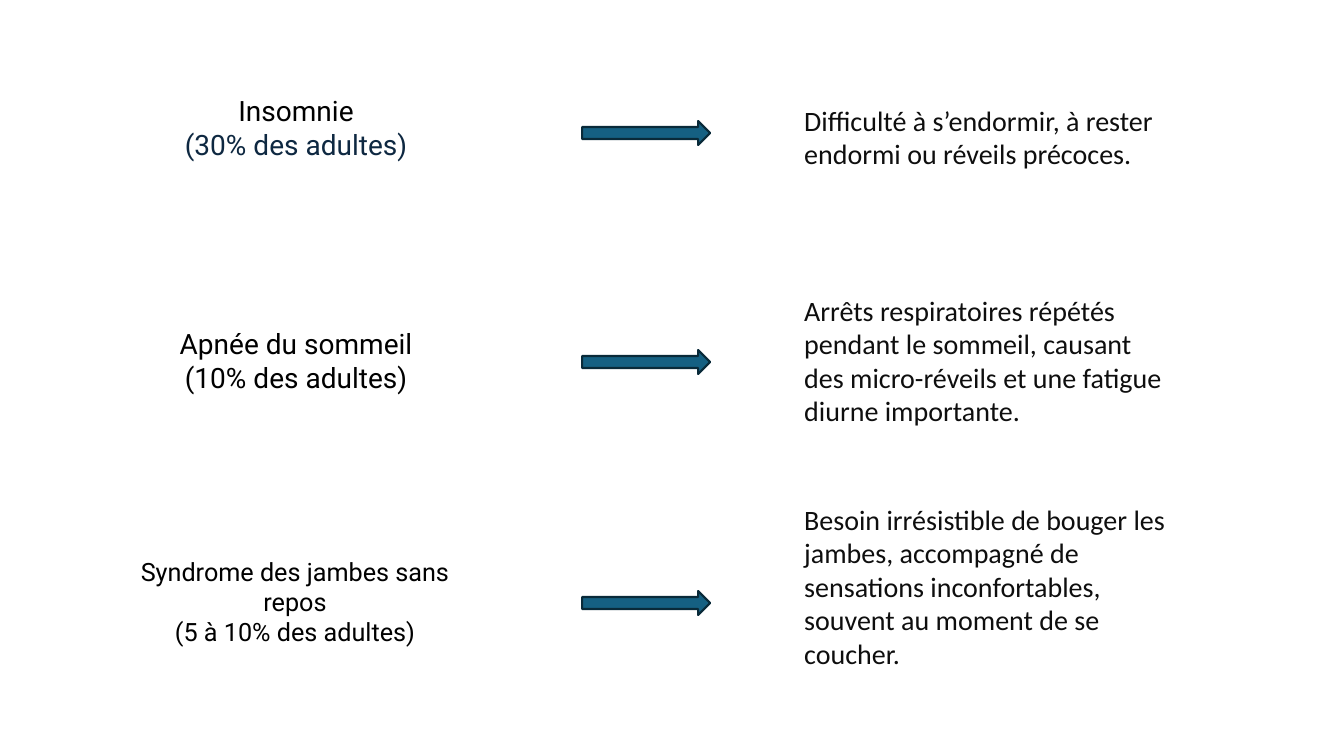
from pptx import Presentation
from pptx import util as u
from pptx.dml import color
from pptx.enum import shapes, text

COLOURS = {"arrow": "156082", "outline": "092A39", "black": "000000",
           "navy": "0E2841", "ink": "0E0E0E"}
PX_PER_INCH = 100.8
ARROW_LEFT, ARROW_WIDTH, ARROW_HEIGHT = 582, 128, 24
DESCRIPTION_LEFT = 794
INSET, LINE_HEIGHT = 5, 33

DISORDERS = [
    {
        "label": [("Insomnie", "black"), ("(30% des adultes)", "navy")],
        "label_box": (128, 89, 336, 112),
        "label_size": 20,
        "arrow_top": 121,
        "description": "Difficulté à s’endormir, à rester endormi ou réveils précoces.",
        "description_box": (DESCRIPTION_LEFT, 65, 395, 112),
        "lead": LINE_HEIGHT,
    },
    {
        "label": [("Apnée du sommeil", "black"), ("(10% des adultes)", "black")],
        "label_box": (128, 322, 336, 112),
        "label_size": 20,
        "arrow_top": 350,
        "description": "Arrêts respiratoires répétés pendant le sommeil, causant "
                       "des micro-réveils et une fatigue diurne importante.",
        "description_box": (DESCRIPTION_LEFT, 255, 383, 214),
        "lead": LINE_HEIGHT,
    },
    {
        "label": [("Syndrome des jambes sans repos", "black"),
                  ("(5 à 10% des adultes)", "black")],
        "label_box": (113, 551, 364, 102),
        "label_size": 18,
        "arrow_top": 591,
        "description": "Besoin irrésistible de bouger les jambes, accompagné de "
                       "sensations inconfortables, souvent au moment de se coucher.",
        "description_box": (DESCRIPTION_LEFT, 497, 413, 211),
        "lead": 0,
    },
]


def px(length):
    return u.Inches(length / PX_PER_INCH)


def rgb(name):
    return color.RGBColor.from_string(COLOURS[name])


def apply(target, values):
    for name, value in values.items():
        setattr(target, name, value)


class Canvas:
    def __init__(self, page):
        self.page = page

    def arrow(self, left, top, width, height):
        arrow = self.page.shapes.add_shape(
            shapes.MSO_SHAPE.RIGHT_ARROW, *map(px, (left, top, width, height)))
        arrow.shadow.inherit = False
        arrow.fill.solid()
        arrow.fill.fore_color.rgb = rgb("arrow")
        arrow.line.color.rgb = rgb("outline")
        arrow.line.width = u.Pt(1.5)

    def text(self, bounds, lines, font, size, align, lead=0):
        box = self.page.shapes.add_textbox(*map(px, bounds))
        frame = box.text_frame
        apply(frame, {"word_wrap": True,
                      "vertical_anchor": text.MSO_ANCHOR.TOP,
                      "margin_top": px(INSET + lead)})
        for index, (words, colour) in enumerate(lines):
            para = frame.add_paragraph() if index else frame.paragraphs[0]
            para.alignment = align
            span = para.add_run()
            span.text = words
            apply(span.font, {"name": font, "size": u.Pt(size)})
            span.font.color.rgb = rgb(colour)


def main():
    deck = Presentation()
    apply(deck, {"slide_width": u.Inches(13.33), "slide_height": u.Inches(7.5)})
    canvas = Canvas(deck.slides.add_slide(deck.slide_layouts[6]))
    for disorder in DISORDERS:
        canvas.text(disorder["label_box"], disorder["label"], "Roboto",
                    disorder["label_size"], text.PP_ALIGN.CENTER)
        canvas.arrow(ARROW_LEFT, disorder["arrow_top"], ARROW_WIDTH, ARROW_HEIGHT)
        canvas.text(disorder["description_box"], [(disorder["description"], "ink")],
                    "Calibri", 20, text.PP_ALIGN.LEFT, disorder["lead"])
    deck.save("out.pptx")


if __name__ == "__main__":
    main()
